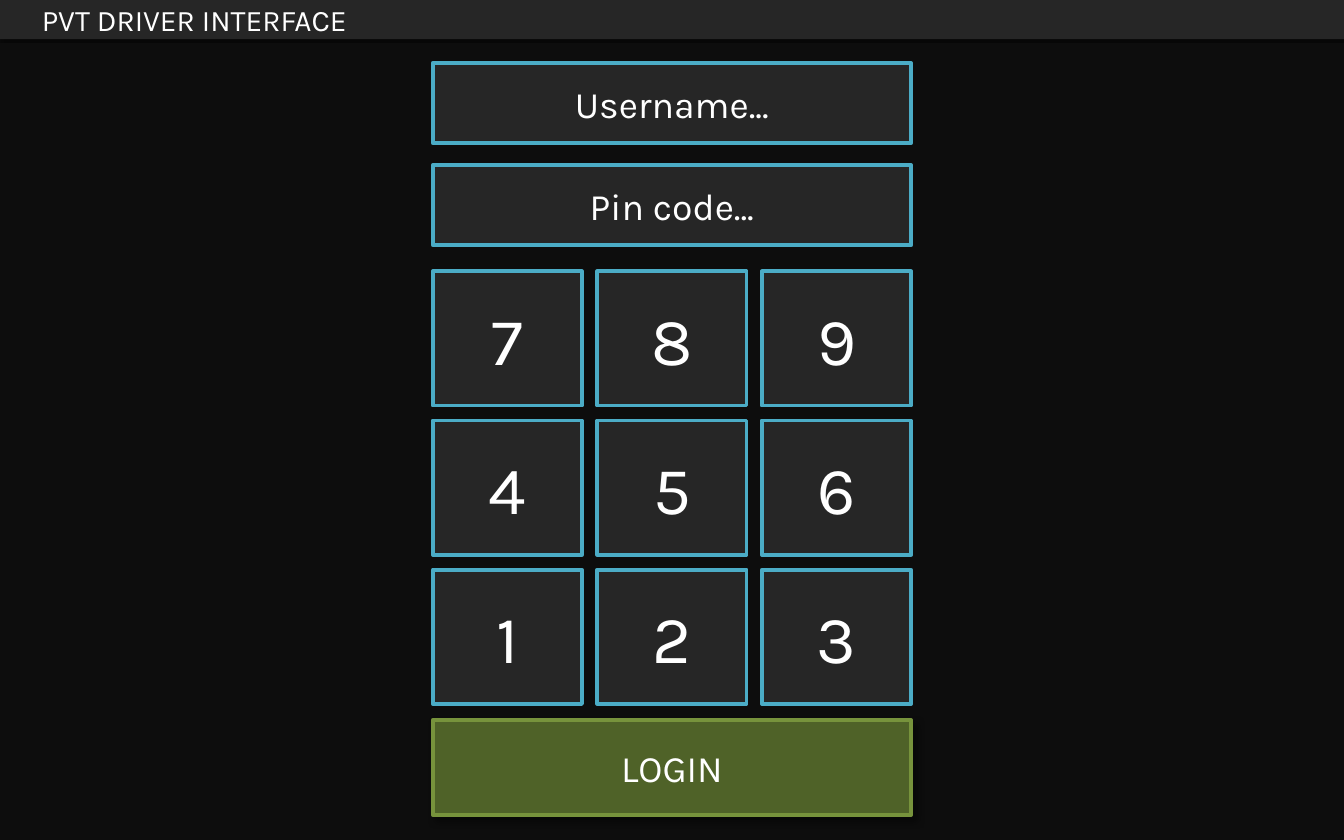
import lxml.etree
import pptx
import pptx.dml.color
import pptx.enum.shapes
import pptx.enum.text
import pptx.oxml.ns
import pptx.util
from pptx.util import Cm

COLOURS = {
    "backdrop": "0D0D0D",
    "panel": "262626",
    "outline": "4BACC6",
    "login": "4F6228",
    "login_edge": "77933C",
    "text": "FFFFFF",
    "shadow": "000000",
}
FONT = "Karla"
ALIGN = pptx.enum.text.PP_ALIGN


def colour(name):
    return pptx.dml.color.RGBColor.from_string(COLOURS[name])


def write(shape, text, size=20, align=ALIGN.CENTER):
    frame = shape.text_frame
    frame.word_wrap = True
    frame.auto_size = pptx.enum.text.MSO_AUTO_SIZE.NONE
    frame.vertical_anchor = pptx.enum.text.MSO_ANCHOR.MIDDLE
    paragraph = frame.paragraphs[0]
    paragraph.alignment = align
    run = paragraph.add_run()
    run.text = text
    run.font.name = FONT
    run.font.size = pptx.util.Pt(size)
    run.font.color.rgb = colour("text")


def paint(shape, fill, edge=None):
    shape.fill.solid()
    shape.fill.fore_color.rgb = colour(fill)
    if edge:
        shape.line.color.rgb = colour(edge)
        shape.line.width = pptx.util.Pt(2)
    else:
        shape.line.fill.background()
    shape.shadow.inherit = False


def cast_shadow(shape, blur, distance, angle):
    qn = pptx.oxml.ns.qn
    effects = shape._element.spPr.find(qn("a:effectLst"))
    outer = lxml.etree.SubElement(
        effects, qn("a:outerShdw"), blurRad=str(pptx.util.Pt(blur)),
        dist=str(pptx.util.Pt(distance)), dir=str(angle * 60000),
        algn="tl", rotWithShape="0")
    tint = lxml.etree.SubElement(outer, qn("a:srgbClr"), val=COLOURS["shadow"])
    lxml.etree.SubElement(tint, qn("a:alpha"), val="40000")


def add_panel(slide, left, top, width, height, fill="panel", edge="outline"):
    panel = slide.shapes.add_shape(
        pptx.enum.shapes.MSO_SHAPE.RECTANGLE, left, top, width, height)
    paint(panel, fill, edge)
    return panel


def add_header(slide, left, top, width, height):
    header = slide.shapes.title
    header.left, header.top = left, top
    header.width, header.height = width, height
    paint(header, "panel")
    cast_shadow(header, blur=1, distance=1, angle=90)
    write(header, "PVT DRIVER INTERFACE", size=16, align=ALIGN.LEFT)
    header.text_frame.margin_left = Cm(0.79)
    # Bring the header in front of the backdrop
    slide.shapes._spTree.append(header._element)


def add_fields(slide, left, top, width, height):
    field_height = Cm(1.52)
    pitch = height - field_height
    for row, prompt in enumerate(("Username...", "Pin code...")):
        field = add_panel(slide, left, top + row * pitch, width, field_height)
        write(field, prompt)


def add_keypad(slide, left, top, width, height):
    key_width, key_height = Cm(2.82), Cm(2.54)
    column_pitch = (width - key_width) // 2
    row_pitch = (height - key_height) // 2
    for row, digits in enumerate(("789", "456", "123")):
        for column, digit in enumerate(digits):
            key = add_panel(slide, left + column * column_pitch,
                            top + row * row_pitch, key_width, key_height)
            write(key, digit, size=36)


def add_login(slide, left, top, width, height):
    login = add_panel(slide, left, top, width, height, "login", "login_edge")
    cast_shadow(login, blur=4, distance=3, angle=45)
    write(login, "LOGIN")


def main():
    deck = pptx.Presentation()
    deck.slide_width, deck.slide_height = Cm(25.4), Cm(15.88)
    title_only = deck.slide_layouts[5]
    slide = deck.slides.add_slide(title_only)

    # Backdrop and header bar
    add_panel(slide, 0, 0, deck.slide_width, deck.slide_height, "backdrop", None)
    add_header(slide, 0, 0, deck.slide_width, Cm(0.74))

    # Centred login column
    width = Cm(9.04)
    left = (deck.slide_width - width) // 2
    add_fields(slide, left, Cm(1.19), width, Cm(3.45))
    add_keypad(slide, left, Cm(5.13), width, Cm(8.18))
    add_login(slide, left, Cm(13.61), width, Cm(1.8))

    deck.save("out.pptx")


if __name__ == "__main__":
    main()
